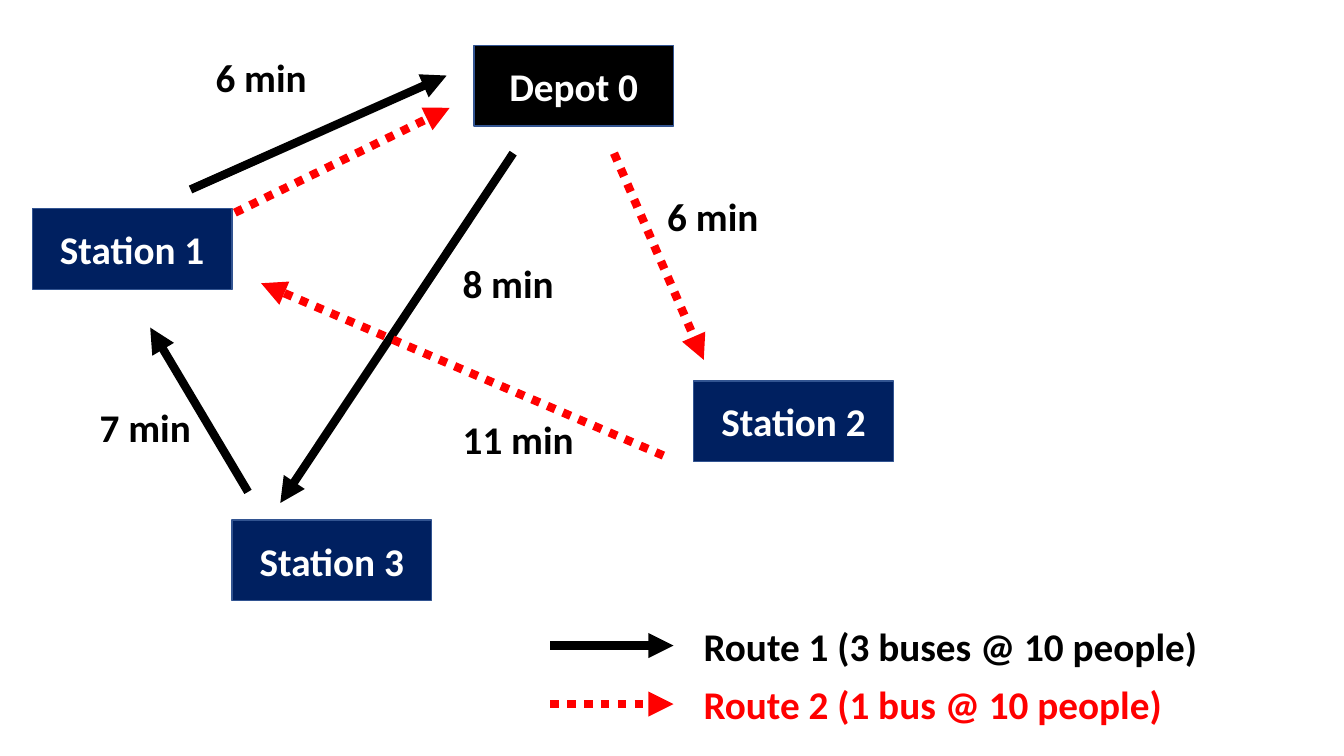
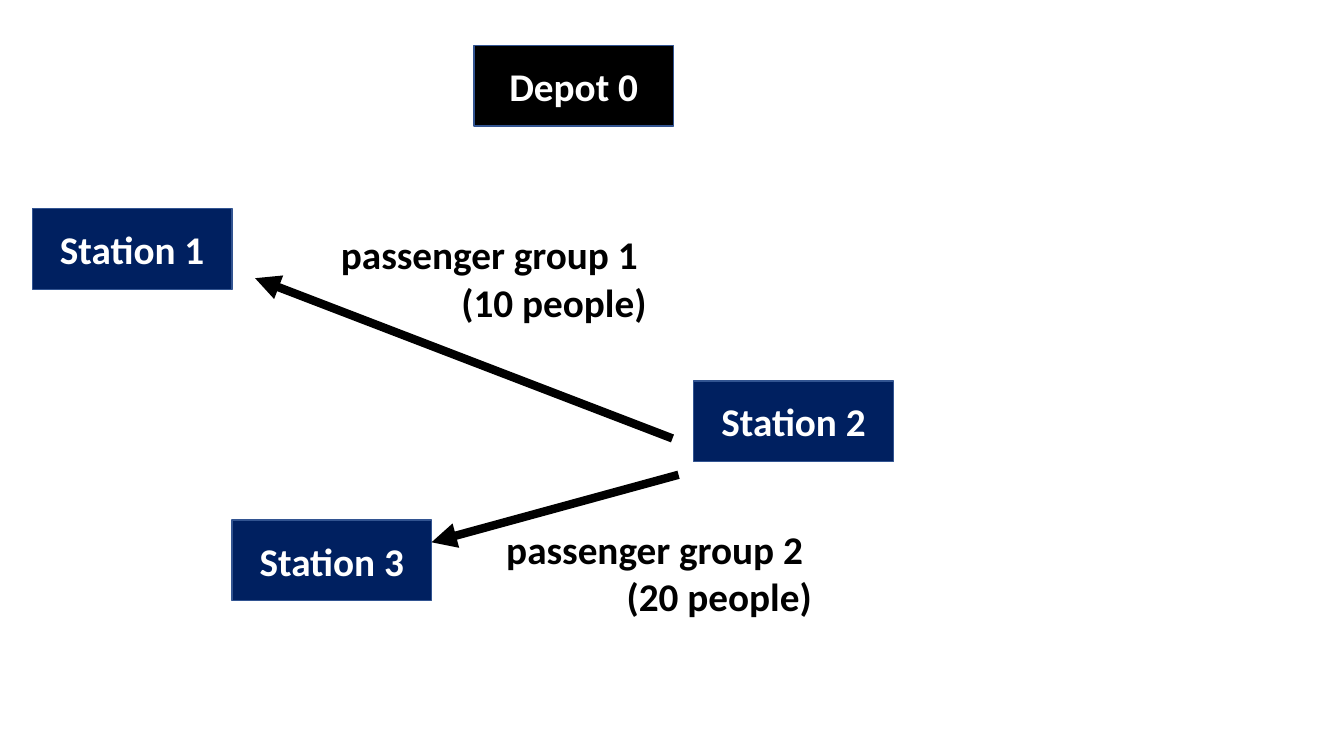
"""Build two slides of a bus network: timed routes and passenger demand."""
from lxml.etree import SubElement
from pptx import Presentation
from pptx.dml.color import RGBColor
from pptx.enum.dml import MSO_LINE
from pptx.enum.shapes import MSO_CONNECTOR, MSO_SHAPE
from pptx.enum.text import MSO_ANCHOR, MSO_AUTO_SIZE, PP_ALIGN
from pptx.oxml.ns import qn
from pptx.util import Inches, Pt

BLACK, WHITE, NAVY, RED, EDGE = "000000", "FFFFFF", "002060", "FF0000", "325491"
FONT, SIZE = "Calibri", 28
NODE_W, NODE_H, LINE_H = 1.98, 0.8, 0.57

NODES = [
    ("Station 1", 0.32, 2.07, NAVY),
    ("Station 2", 6.88, 3.78, NAVY),
    ("Station 3", 2.3, 5.16, NAVY),
    ("Depot 0", 4.7, 0.45, BLACK),
]
ROUTES = [
    {
        "name": "Route 1 (3 buses @ 10 people)", "width": 5.15,
        "color": BLACK, "dotted": False,
        "legs": [(5.09, 1.52, 2.78, 4.99), (2.46, 4.88, 1.49, 3.25),
                 (1.89, 1.88, 4.43, 0.75)],
    },
    {
        "name": "Route 2 (1 bus @ 10 people)", "width": 4.8,
        "color": RED, "dotted": True,
        "legs": [(6.09, 1.52, 6.98, 3.57), (6.58, 4.52, 2.59, 2.81),
                 (2.33, 2.11, 4.46, 1.07)],
    },
]
TIMES = [
    ("6 min", 2.03, 0.48, 1.12),
    ("8 min", 4.48, 2.52, 1.12),
    ("11 min", 4.48, 4.07, 1.32),
    ("6 min", 6.51, 1.86, 1.12),
    ("7 min", 0.88, 3.95, 1.12),
]
GROUPS = [
    (["passenger group 1 ", "(10 people)"], 3.24, 2.24, (6.67, 4.35, 2.53, 2.76)),
    (["passenger group 2 ", "(20 people)"], 4.88, 5.16, (6.73, 4.71, 4.28, 5.38)),
]
GROUP_W, GROUP_H = 3.27, 1.04
KEY_LEFT, KEY_RIGHT, KEY_TEXT = 5.46, 6.68, 6.88
KEY_TOP, KEY_STEP = 6.12, 0.58


def rgb(color):
    return RGBColor.from_string(color)


def write(tf, lines, color=BLACK, align=PP_ALIGN.LEFT):
    for i, line in enumerate(lines):
        p = tf.add_paragraph() if i else tf.paragraphs[0]
        p.alignment = align
        r = p.add_run()
        r.text = line
        r.font.name, r.font.size, r.font.bold = FONT, Pt(SIZE), True
        r.font.color.rgb = rgb(color)


def add_label(s, lines, x, y, w, h=LINE_H, **style):
    tf = s.shapes.add_textbox(*map(Inches, (x, y, w, h))).text_frame
    tf.word_wrap = False
    tf.auto_size = MSO_AUTO_SIZE.SHAPE_TO_FIT_TEXT
    write(tf, lines, **style)


def add_node(s, name, x, y, fill):
    sp = s.shapes.add_shape(MSO_SHAPE.RECTANGLE,
                            *map(Inches, (x, y, NODE_W, NODE_H)))
    sp.shadow.inherit = False
    sp.fill.solid()
    sp.fill.fore_color.rgb = rgb(fill)
    sp.line.color.rgb = rgb(EDGE)
    sp.line.width = Pt(1)
    sp.text_frame.vertical_anchor = MSO_ANCHOR.MIDDLE
    write(sp.text_frame, [name], color=WHITE, align=PP_ALIGN.CENTER)


def add_arrow(s, ends, color=BLACK, dotted=False):
    sp = s.shapes.add_connector(MSO_CONNECTOR.STRAIGHT, *map(Inches, ends))
    sp.line.color.rgb = rgb(color)
    sp.line.width = Pt(6)
    if dotted:
        sp.line.dash_style = MSO_LINE.ROUND_DOT
    SubElement(sp.line._get_or_add_ln(), qn("a:tailEnd"), type="triangle")
    SubElement(sp._element.spPr, qn("a:effectLst"))


def add_network(prs):
    s = prs.slides.add_slide(prs.slide_layouts[6])
    for node in NODES:
        add_node(s, *node)
    return s


def build_routes(prs):
    s = add_network(prs)
    for i, route in enumerate(ROUTES):
        color, top = route["color"], KEY_TOP + i * KEY_STEP
        y = top + LINE_H / 2
        for ends in route["legs"] + [(KEY_LEFT, y, KEY_RIGHT, y)]:
            add_arrow(s, ends, color, route["dotted"])
        add_label(s, [route["name"]], KEY_TEXT, top, route["width"], color=color)
    for time, x, y, w in TIMES:
        add_label(s, [time], x, y, w, align=PP_ALIGN.CENTER)


def build_demand(prs):
    s = add_network(prs)
    for lines, x, y, ends in GROUPS:
        add_arrow(s, ends)
        add_label(s, lines, x, y, GROUP_W, GROUP_H, align=PP_ALIGN.RIGHT)


def main():
    prs = Presentation()
    prs.slide_width, prs.slide_height = Inches(13.33), Inches(7.5)
    build_routes(prs)
    build_demand(prs)
    prs.save("out.pptx")


if __name__ == "__main__":
    main()
